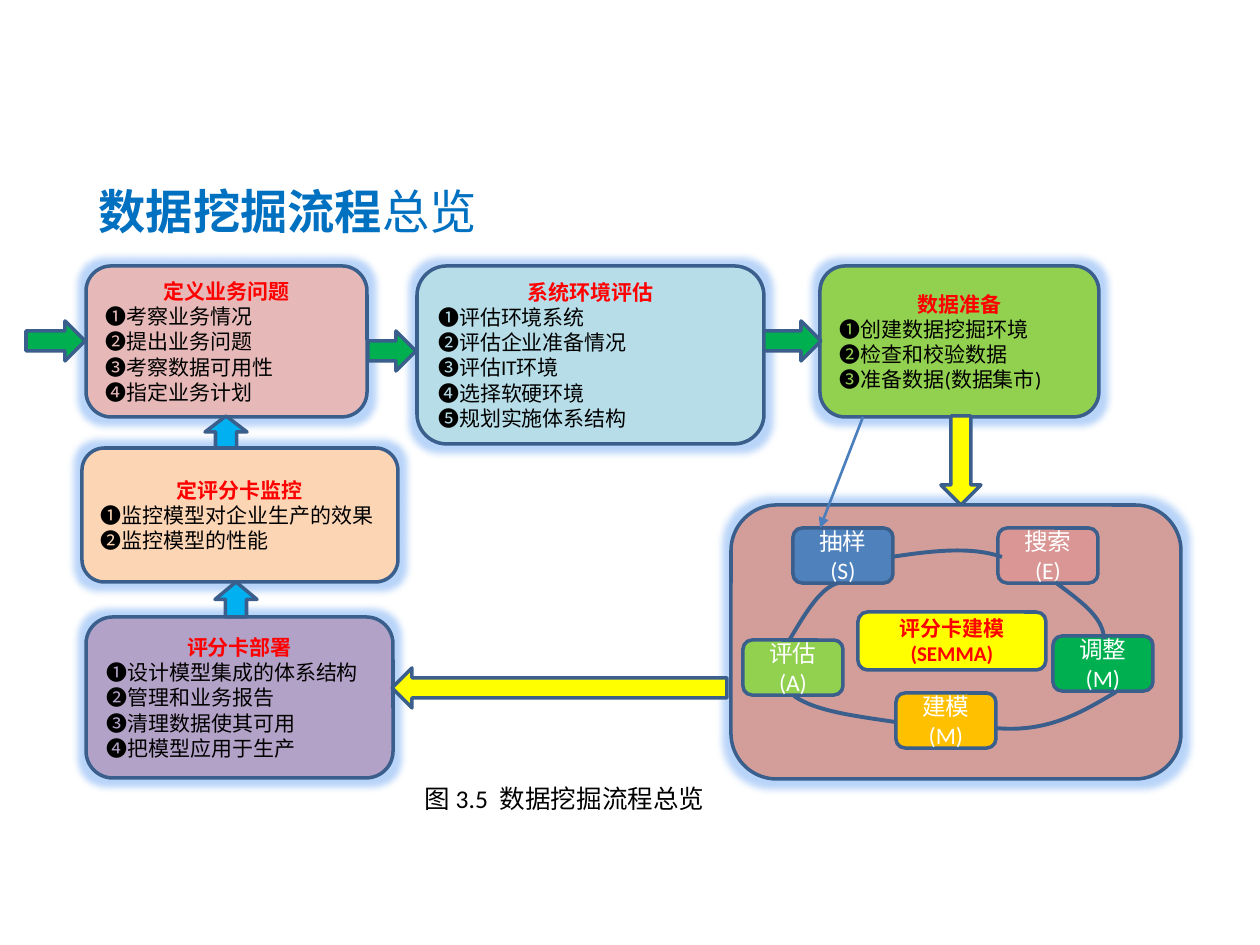
from lxml.etree import SubElement
from pptx import Presentation
from pptx.dml.color import RGBColor
from pptx.enum.shapes import MSO_CONNECTOR, MSO_SHAPE
from pptx.enum.text import MSO_ANCHOR, PP_ALIGN
from pptx.oxml.ns import qn
from pptx.util import Emu, Pt

SCALE = 914400 / 126
WHITE = RGBColor(255, 255, 255)
BLACK = RGBColor(0, 0, 0)
RED = RGBColor(255, 0, 0)
BLUE = RGBColor(0x00, 0x70, 0xC0)
EDGE = RGBColor(0x3A, 0x5F, 0x8C)
LINK = RGBColor(0x4B, 0x7E, 0xBC)
HALO = RGBColor(0x4F, 0x94, 0xF0)
PINK = RGBColor(0xE6, 0xB9, 0xB8)
AQUA = RGBColor(0xB7, 0xDE, 0xE8)
LIME = RGBColor(0x92, 0xD0, 0x50)
ROSE = RGBColor(0xD3, 0x9D, 0x99)
CORAL = RGBColor(0xD9, 0x96, 0x94)
MAUVE = RGBColor(0xB3, 0xA2, 0xC7)
PEACH = RGBColor(0xFC, 0xD5, 0xB5)
GOLD = RGBColor(0xFF, 0xC0, 0x00)
STEEL = RGBColor(0x4F, 0x81, 0xBD)
GREEN = RGBColor(0x00, 0xB0, 0x50)
YELLOW = RGBColor(0xFF, 0xFF, 0x00)
SKY = RGBColor(0x00, 0xB0, 0xF0)

HEAD = {"name": "Calibri", "size": Pt(12), "bold": True}
ITEM = {**HEAD, "bold": False}
STEP = {**ITEM, "size": Pt(13.5)}
TITLE = {**HEAD, "size": Pt(27)}
NOTE = {**ITEM, "size": Pt(14.6)}
MID = PP_ALIGN.CENTER
LEFT = PP_ALIGN.LEFT

STAGES = [
    ((86, 266, 281, 151), PINK, "定义业务问题",
     ["❶考察业务情况", "❷提出业务问题", "❸考察数据可用性", "❹指定业务计划"]),
    ((417, 266, 347, 178), AQUA, "系统环境评估",
     ["❶评估环境系统", "❷评估企业准备情况", "❸评估IT环境", "❹选择软硬环境",
      "❺规划实施体系结构"]),
    ((820, 266, 279, 151), LIME, "数据准备",
     ["❶创建数据挖掘环境", "❷检查和校验数据", "❸准备数据(数据集市)"]),
    ((731, 505, 450, 274), ROSE, "", []),
    ((86, 617, 307, 161), MAUVE, "评分卡部署",
     ["❶设计模型集成的体系结构", "❷管理和业务报告", "❸清理数据使其可用",
      "❹把模型应用于生产"]),
    ((82, 448, 316, 134), PEACH, "定评分卡监控",
     ["❶监控模型对企业生产的效果", "❷监控模型的性能"]),
]
STEPS = [
    (998, 528, CORAL, "搜索(E)"),
    (743, 640, LIME, "评估(A)"),
    (896, 693, GOLD, "建模(M)"),
    (793, 528, STEEL, "抽样(S)"),
    (1053, 636, GREEN, "调整(M)"),
]
CURVES = [
    [(891, 557), (931, 551), (971, 546), (1002, 557)],
    [(1116, 692), (1082, 712), (1048, 733), (995, 728)],
    [(895, 722), (854, 716), (815, 711), (794, 696)],
    [(790, 639), (805, 614), (820, 588), (838, 583)],
    [(1055, 582), (1079, 600), (1104, 617), (1104, 639)],
]
ARROWS = [
    (MSO_SHAPE.RIGHT_ARROW, (26, 321, 59, 40), GREEN),
    (MSO_SHAPE.RIGHT_ARROW, (368, 331, 48, 40), GREEN),
    (MSO_SHAPE.RIGHT_ARROW, (764, 321, 57, 40), GREEN),
    (MSO_SHAPE.DOWN_ARROW, (941, 416, 40, 89), YELLOW),
    (MSO_SHAPE.LEFT_ARROW, (392, 668, 335, 40), YELLOW),
    (MSO_SHAPE.UP_ARROW, (215, 582, 42, 35), SKY),
    (MSO_SHAPE.UP_ARROW, (205, 416, 42, 32), SKY),
]


def px(*vals):
    """Turn px lengths into EMU."""
    return [Emu(round(val * SCALE)) for val in vals]


def add_run(para, text, form, color):
    """Add a run with the given format and colour."""
    run = para.add_run()
    run.text = text
    for key, val in form.items():
        setattr(run.font, key, val)
    run.font.color.rgb = color


def write(frame, rows):
    """Fill a frame with one paragraph for each row."""
    frame.word_wrap = True
    frame.vertical_anchor = MSO_ANCHOR.MIDDLE
    for num, (text, align, form, color) in enumerate(rows):
        para = frame.add_paragraph() if num else frame.paragraphs[0]
        para.alignment = align
        add_run(para, text, form, color)


def add_block(slide, kind, area, fill, rows=()):
    """Add a filled and outlined shape with text."""
    block = slide.shapes.add_shape(kind, *px(*area))
    block.shadow.inherit = False
    block.fill.solid()
    block.fill.fore_color.rgb = fill
    block.line.color.rgb = EDGE
    block.line.width = Pt(2)
    write(block.text_frame, rows)
    return block


def add_glow(block):
    """Put a soft blue glow around a shape."""
    fx = block.element.spPr.find(qn("a:effectLst"))
    glow = SubElement(fx, qn("a:glow"), rad=str(Pt(8)))
    tint = SubElement(glow, qn("a:srgbClr"), val=str(HALO))
    SubElement(tint, qn("a:alpha"), val="40000")


def add_stage(slide, area, fill, name, items):
    """Add a glowing stage with its heading and list."""
    rows = [(name, MID, HEAD, RED)] if name else []
    rows += [(item, LEFT, ITEM, BLACK) for item in items]
    add_glow(add_block(slide, MSO_SHAPE.ROUNDED_RECTANGLE, area, fill, rows))


def add_curve(slide, start, *rest):
    """Add an open Bezier curve."""
    pen = slide.shapes.build_freeform(*start, scale=SCALE)
    pen.add_line_segments(rest, close=False)
    curve = pen.convert_to_shape()
    curve.shadow.inherit = False
    curve.fill.background()
    curve.line.color.rgb = EDGE
    curve.line.width = Pt(2.25)
    track = next(curve.element.iter(qn("a:path")))
    bend = SubElement(track, qn("a:cubicBezTo"))
    for leg in track.findall(qn("a:lnTo")):
        bend.append(leg[0])
        track.remove(leg)


def add_link(slide, *ends):
    """Add a thin line with an arrowhead at its end."""
    link = slide.shapes.add_connector(MSO_CONNECTOR.STRAIGHT, *px(*ends))
    link.line.color.rgb = LINK
    link.line.width = Pt(1.5)
    SubElement(link.line._get_or_add_ln(), qn("a:tailEnd"), type="triangle")
    SubElement(link.element.spPr, qn("a:effectLst"))


def add_title(slide):
    """Place and fill the title, and drop the subtitle."""
    title, sub = slide.placeholders
    sub.element.getparent().remove(sub.element)
    title.left, title.top, title.width, title.height = px(86, 179, 663, 64)
    write(title.text_frame, [("数据挖掘流程", LEFT, TITLE, BLUE)])
    add_run(title.text_frame.paragraphs[0], "总览",
            {**TITLE, "bold": False}, BLUE)


def add_note(slide):
    """Add the figure caption."""
    frame = slide.shapes.add_textbox(*px(233, 771, 663, 49)).text_frame
    write(frame, [("图 3.5  数据挖掘流程总览", MID, NOTE, BLACK)])
    frame.vertical_anchor = MSO_ANCHOR.BOTTOM
    frame.paragraphs[0].line_spacing = 0.9


def main():
    """Build the slide and save it."""
    deck = Presentation()
    deck.slide_width, deck.slide_height = px(1260, 945)
    slide = deck.slides.add_slide(deck.slide_layouts[0])
    add_title(slide)
    for stage in STAGES:
        add_stage(slide, *stage)
    for left, top, fill, name in STEPS:
        add_block(slide, MSO_SHAPE.ROUNDED_RECTANGLE, (left, top, 100, 55),
                  fill, [(name, MID, STEP, WHITE)])
    add_block(slide, MSO_SHAPE.ROUNDED_RECTANGLE, (858, 612, 188, 58),
              YELLOW, [("评分卡建模(SEMMA)", MID, HEAD, RED)])
    for curve in CURVES:
        add_curve(slide, *curve)
    for arrow in ARROWS:
        add_block(slide, *arrow)
    add_link(slide, 863, 417, 820, 528)
    add_note(slide)
    deck.save("out.pptx")


if __name__ == "__main__":
    main()
